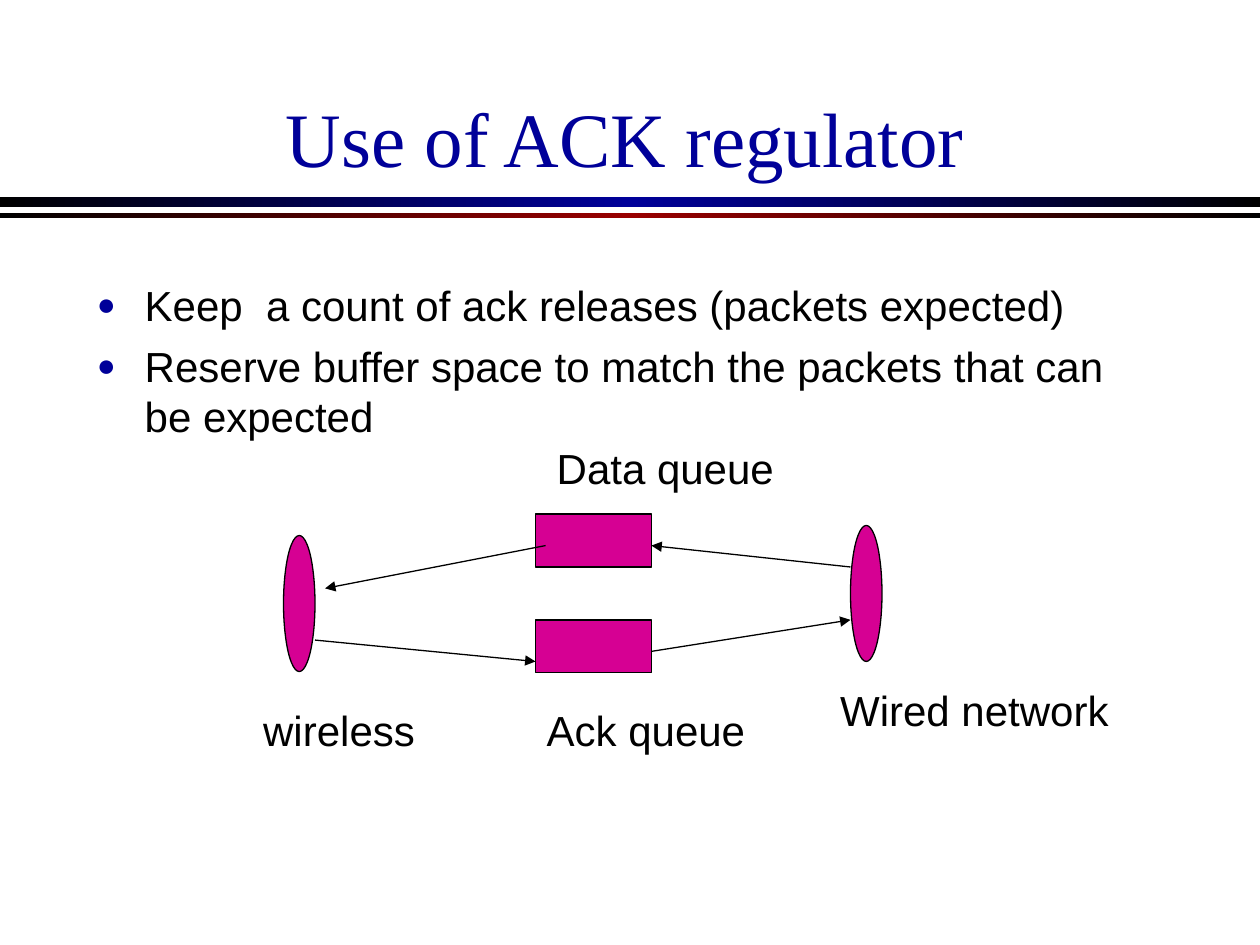
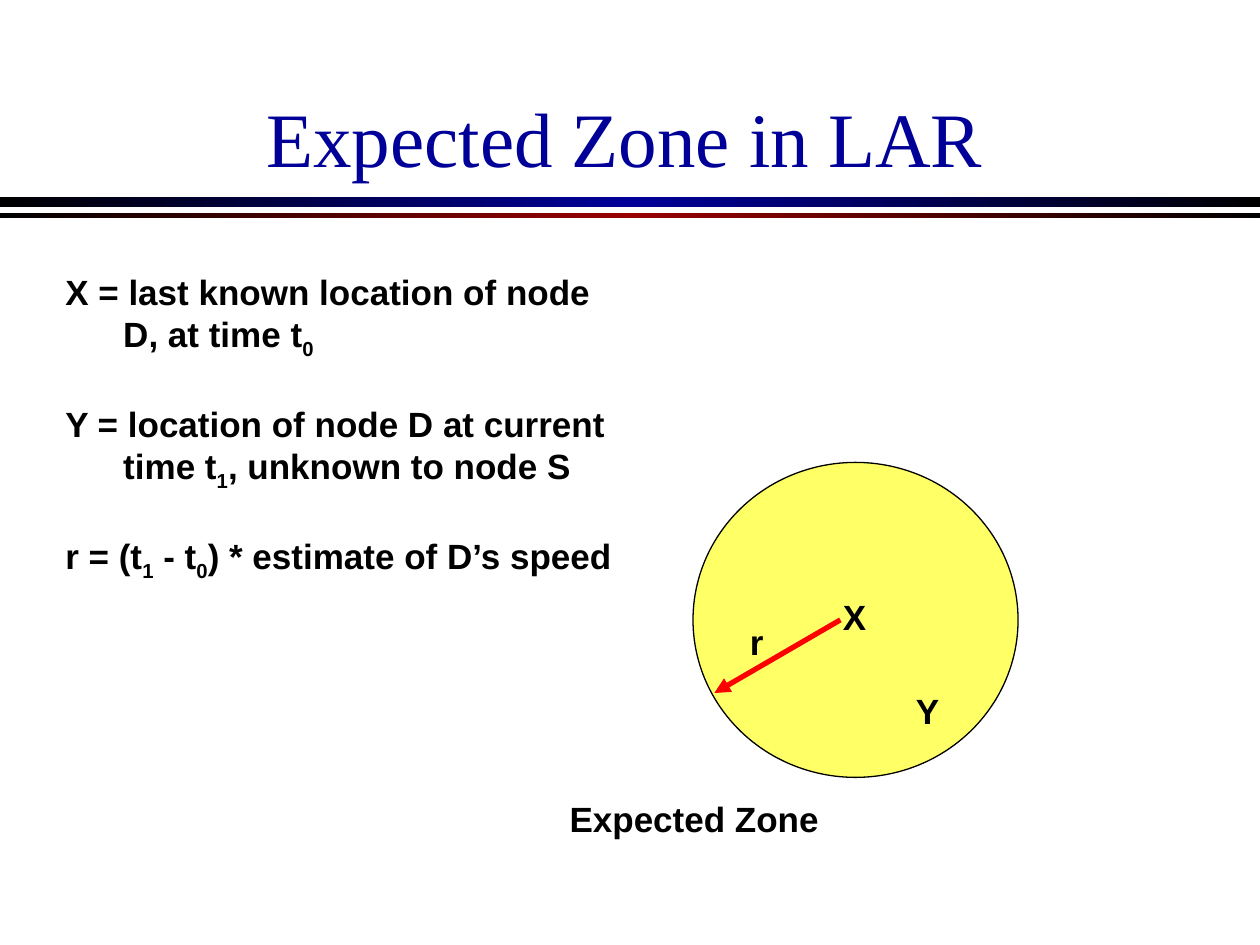
from copy import deepcopy

from lxml import etree
from pptx import Presentation
from pptx.dml.color import RGBColor
from pptx.enum.shapes import MSO_CONNECTOR, MSO_SHAPE
from pptx.enum.text import MSO_ANCHOR, PP_ALIGN
from pptx.oxml.ns import qn
from pptx.util import Inches, Pt

COLORS = {"black": "000000", "navy": "000099", "maroon": "990000",
          "magenta": "D60093", "yellow": "FFFF66", "red": "FF0000"}

# Shared bands: top, height, middle colour
BANDS = [(1.56, 0.08, "navy"), (1.69, 0.04, "maroon")]

# Slide 1: ACK regulator
ACK_TITLE = "Use of ACK regulator"
ACK_POINTS = ["Keep  a count of ack releases (packets expected)",
              "Reserve buffer space to match the packets that can be expected"]
QUEUES = [(4.25, 4.08), (4.25, 4.92)]
NETWORKS = [(2.25, 4.25), (6.75, 4.17)]
QUEUE_SIZE, NETWORK_SIZE = (0.92, 0.42), (0.25, 1.08)
ACK_LABELS = [("wireless", 1.99, 5.54, 1.45), ("Wired network", 6.57, 5.38, 2.4),
              ("Data queue", 4.32, 3.46, 2), ("Ack queue", 4.24, 5.54, 1.85)]
FLOWS = [((4.33, 4.33), (2.58, 4.67)), ((2.5, 5.08), (4.25, 5.25)),
         ((5.17, 5.17), (6.75, 4.92)), ((6.75, 4.5), (5.17, 4.33))]

# Slide 2: expected zone ("_" marks the next character as a subscript)
ZONE_TITLE = "Expected Zone in LAR"
DEFINITIONS = ["X = last known location of node\nD, at time t_0",
               "Y = location of node D at current\ntime t_1, unknown to node S",
               "r = (t_1 - t_0) * estimate of D’s speed"]
ZONE = (5.5, 3.67, 2.58, 2.5)
RADIUS = ((6.67, 4.92), (5.67, 5.5))
ZONE_LABELS = [("X", 6.59, 4.67, 0.38), ("Y", 7.17, 5.42, 0.38),
               ("r", 5.85, 4.87, 0.31), ("Expected Zone", 4.42, 6.28, 2.18)]


def rgb(name):
    return RGBColor.from_string(COLORS[name])


def add_runs(p, text, size, font, color, bold):
    """Fill a paragraph, turning newlines into breaks and "_x" into subscripts."""
    for i, line in enumerate(text.split("\n")):
        if i:
            p.add_line_break()
        first, *rest = line.split("_")
        pieces = [(first, False)]
        for part in rest:
            pieces += [(part[0], True), (part[1:], False)]
        for piece, subscript in pieces:
            if not piece:
                continue
            r = p.add_run()
            r.text = piece
            r.font.size, r.font.name, r.font.bold = Pt(size), font, bold
            r.font.color.rgb = rgb(color)
            if subscript:
                r._r.get_or_add_rPr().set("baseline", "-25000")


def set_indent(p, hang, bullet=None):
    pPr = p._p.get_or_add_pPr()
    pPr.set("marL", str(Inches(hang)))
    pPr.set("indent", str(-Inches(hang)))
    if bullet:
        clr = etree.SubElement(pPr, qn("a:buClr"))
        etree.SubElement(clr, qn("a:srgbClr"), val=COLORS["navy"])
        etree.SubElement(pPr, qn("a:buSzPct"), val="75000")
        etree.SubElement(pPr, qn("a:buFont"), typeface="Arial")
        etree.SubElement(pPr, qn("a:buChar"), char=bullet)


def add_text(slide, paragraphs, x, y, w, h, size=24, font="Arial", color="black",
             bold=False, align=PP_ALIGN.LEFT, anchor=MSO_ANCHOR.TOP, wrap=False,
             before=0, first_before=0, hang=0, bullet=None):
    tf = slide.shapes.add_textbox(Inches(x), Inches(y), Inches(w), Inches(h)).text_frame
    tf.word_wrap, tf.vertical_anchor = wrap, anchor
    for i, text in enumerate(paragraphs):
        p = tf.add_paragraph() if i else tf.paragraphs[0]
        p.alignment = align
        p.space_before = Pt(before if i else first_before)
        if hang:
            set_indent(p, hang, bullet)
        add_runs(p, text, size, font, color, bold)


def add_shape(slide, kind, x, y, w, h, fill):
    sp = slide.shapes.add_shape(kind, Inches(x), Inches(y), Inches(w), Inches(h))
    sp.shadow.inherit = False
    sp.fill.solid()
    sp.fill.fore_color.rgb = rgb(fill)
    sp.line.color.rgb = rgb("black")
    sp.line.width = Pt(0.75)
    return sp


def add_band(slide, y, h, middle):
    sp = add_shape(slide, MSO_SHAPE.RECTANGLE, 0, y, 10, h, middle)
    sp.line.fill.background()
    sp.fill.gradient()
    sp.fill.gradient_angle = 0
    stops = sp._element.spPr.find(".//" + qn("a:gsLst"))
    stops.insert(1, deepcopy(stops[0]))
    for stop, position, color in zip(sp.fill.gradient_stops, (0, 0.5, 1),
                                     ("black", middle, "black")):
        stop.position = position
        stop.color.rgb = rgb(color)


def add_arrow(slide, start, end, color="black", width=0.75):
    ends = [Inches(v) for v in (*start, *end)]
    line = slide.shapes.add_connector(MSO_CONNECTOR.STRAIGHT, *ends)
    line.line.color.rgb = rgb(color)
    line.line.width = Pt(width)
    etree.SubElement(line.line._get_or_add_ln(), qn("a:tailEnd"), type="triangle")
    etree.SubElement(line._element.spPr, qn("a:effectLst"))


def new_slide(prs, title):
    slide = prs.slides.add_slide(prs.slide_layouts[6])
    for band in BANDS:
        add_band(slide, *band)
    add_text(slide, [title], 0.67, 0.25, 8.58, 1.25, size=44, font="Times New Roman",
             color="navy", align=PP_ALIGN.CENTER, anchor=MSO_ANCHOR.BOTTOM, wrap=True)
    return slide


def build_ack_slide(prs):
    slide = new_slide(prs, ACK_TITLE)
    add_text(slide, ACK_POINTS, 0.67, 2.17, 8.58, 4.5, wrap=True,
             before=6, first_before=6, hang=0.38, bullet="●")
    for place in QUEUES:
        add_shape(slide, MSO_SHAPE.RECTANGLE, *place, *QUEUE_SIZE, "magenta")
    for place in NETWORKS:
        add_shape(slide, MSO_SHAPE.OVAL, *place, *NETWORK_SIZE, "magenta")
    for label, x, y, w in ACK_LABELS:
        add_text(slide, [label], x, y, w, 0.5)
    for start, end in FLOWS:
        add_arrow(slide, start, end)


def build_zone_slide(prs):
    slide = new_slide(prs, ZONE_TITLE)
    add_shape(slide, MSO_SHAPE.OVAL, *ZONE, "yellow")
    add_arrow(slide, *RADIUS, color="red", width=3)
    for label, x, y, w in ZONE_LABELS:
        add_text(slide, [label], x, y, w, 0.44, size=20, bold=True,
                 align=PP_ALIGN.CENTER, anchor=MSO_ANCHOR.MIDDLE)
    add_text(slide, DEFINITIONS, 0.42, 2.1, 4.8, 2.57, size=20, bold=True,
             anchor=MSO_ANCHOR.MIDDLE, wrap=True, before=24, hang=0.46)


def main():
    prs = Presentation()
    prs.slide_width, prs.slide_height = Inches(10), Inches(7.5)
    build_ack_slide(prs)
    build_zone_slide(prs)
    prs.save("out.pptx")


if __name__ == "__main__":
    main()
